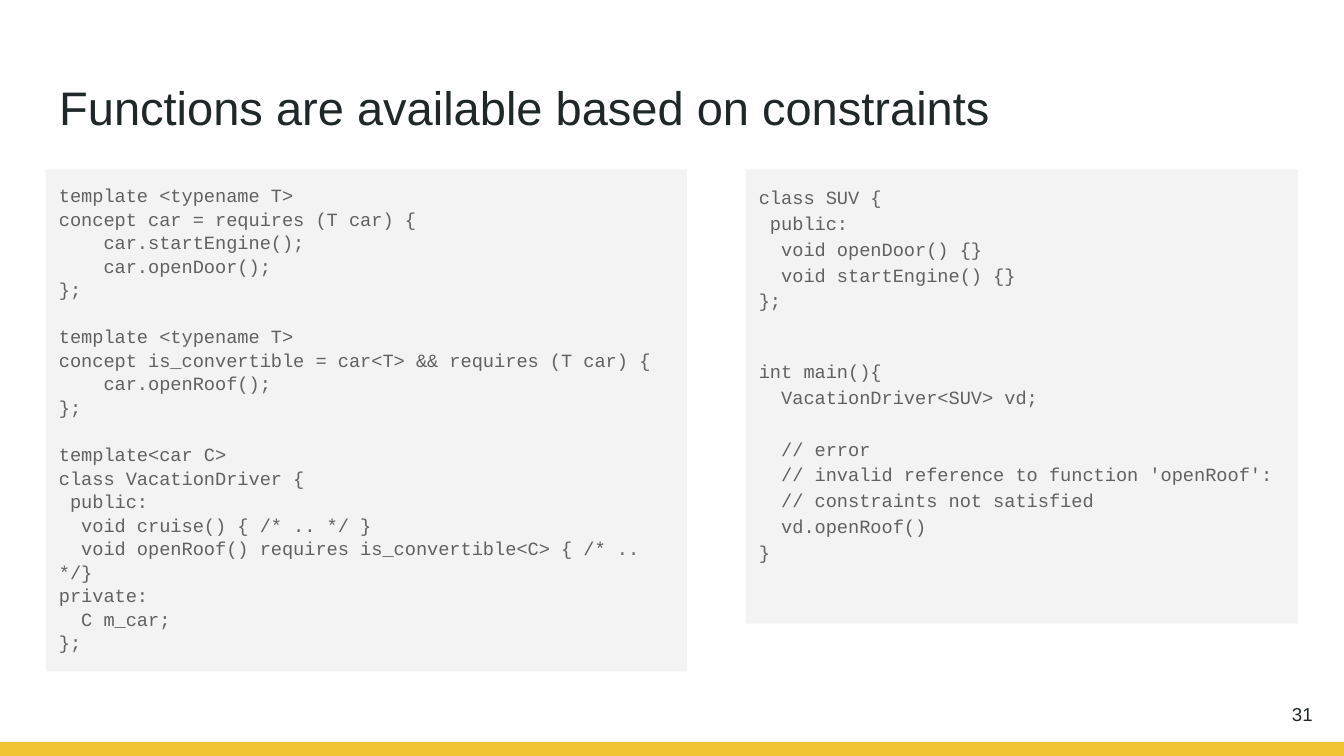
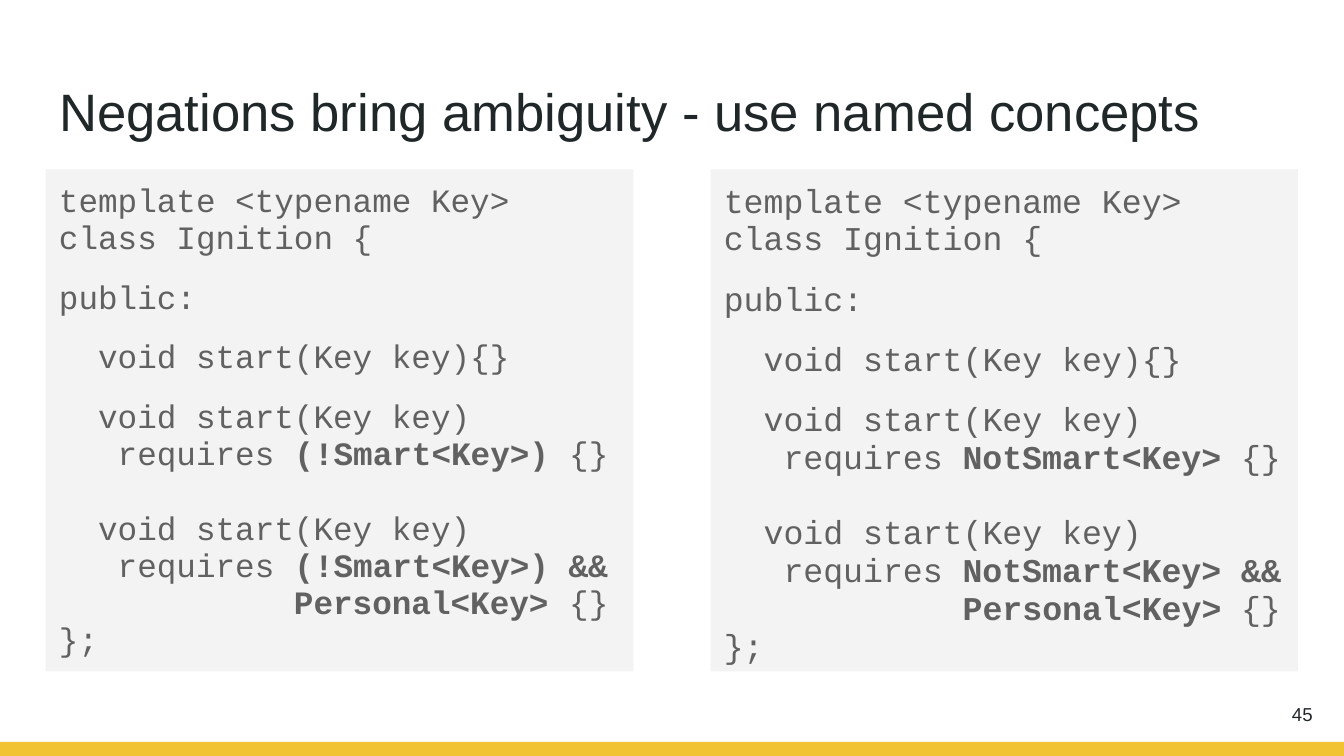
import copy
from dataclasses import dataclass

import pptx
import pptx.dml.color
import pptx.enum.shapes
import pptx.enum.text
import pptx.util

Pt = pptx.util.Pt
ALIGN = pptx.enum.text.PP_ALIGN
ANCHOR = pptx.enum.text.MSO_ANCHOR


@dataclass(frozen=True)
class Theme:
    ink: str = "202729"
    code_ink: str = "616161"
    panel: str = "F3F3F3"
    accent: str = "F1C232"
    sans: str = "Arial"
    mono: str = "Courier New"
    number_size: float = 10
    small_code: float = 10
    padding: float = 7.2
    margin: float = 24.5
    panel_top: float = 90.7


THEME = Theme()
WIDTH, HEIGHT = 720, 405
RIGHT_EDGE = WIDTH - THEME.margin

CONCEPTS = [
    (0, """template <typename T>
concept car = requires (T car) {
    car.startEngine();
    car.openDoor();
};"""),
    (12.6, """template <typename T>
concept is_convertible = car<T> && requires (T car) {
    car.openRoof();
};"""),
    (12.6, """template<car C>
class VacationDriver {
 public:
  void cruise() { /* .. */ }
  void openRoof() requires is_convertible<C> { /* .. */}
private:
  C m_car;
};"""),
]

USAGE = [
    (0, """class SUV {
 public:
  void openDoor() {}
  void startEngine() {}
};"""),
    (24.2, """int main(){
  VacationDriver<SUV> vd;"""),
    (13.8, """  // error
  // invalid reference to function 'openRoof':
  // constraints not satisfied
  vd.openRoof()
}"""),
]


def ignition_code(constraint):
    return [
        (0, "template <typename Key>\nclass Ignition {"),
        (12, "public:"),
        (12, "  void start(Key key){}"),
        (12, f"  void start(Key key)\n   requires **{constraint}** {{}}"),
        (20, f"  void start(Key key)\n   requires **{constraint} &&\n"
             "            Personal<Key>** {}\n};"),
    ]


def apply(target, formats):
    for attribute, value in formats.items():
        setattr(target, attribute, value)


def style_font(font, face, size, color, bold=False):
    apply(font, {"name": face, "size": Pt(size), "bold": bold})
    font.color.rgb = pptx.dml.color.RGBColor.from_string(color)


def prepare_frame(frame, anchor=ANCHOR.TOP):
    apply(frame, {
        "word_wrap": True,
        "auto_size": pptx.enum.text.MSO_AUTO_SIZE.NONE,
        "vertical_anchor": anchor,
        **{f"margin_{side}": Pt(THEME.padding)
           for side in ("left", "top", "right", "bottom")},
    })


def add_block(slide, left, top, width, height, color):
    block = slide.shapes.add_shape(
        pptx.enum.shapes.MSO_SHAPE.RECTANGLE,
        Pt(left), Pt(top), Pt(width), Pt(height))
    block.shadow.inherit = False
    block.fill.solid()
    block.fill.fore_color.rgb = pptx.dml.color.RGBColor.from_string(color)
    block.line.fill.background()
    return block


def add_code_line(paragraph, pieces, size):
    for text, bold in pieces:
        run = paragraph.add_run()
        run.text = text
        style_font(run.font, THEME.mono, size, THEME.code_ink, bold)


def style_breaks(paragraph):
    properties = paragraph.runs[0].font._element
    for line_break in paragraph._p.br_lst if hasattr(paragraph._p, "br_lst") \
            else paragraph._p.findall(pptx.oxml.ns.qn("a:br")):
        line_break.append(copy.deepcopy(properties))


def add_code_panel(slide, left, width, height, blocks, size, spacing):
    panel = add_block(slide, left, THEME.panel_top, width, height, THEME.panel)
    frame = panel.text_frame
    prepare_frame(frame)
    for index, (gap, code) in enumerate(blocks):
        paragraph = frame.add_paragraph() if index else frame.paragraphs[0]
        apply(paragraph, {"alignment": ALIGN.LEFT, "line_spacing": spacing,
                          "space_before": Pt(gap), "space_after": Pt(0)})
        bold = False
        for number, line in enumerate(code.split("\n")):
            if number:
                paragraph.add_line_break()
            pieces = []
            for part, text in enumerate(line.split("**")):
                bold = bold != (part > 0)
                if text:
                    pieces.append((text, bold))
            add_code_line(paragraph, pieces, size)
        style_breaks(paragraph)


def add_page(deck, heading, heading_size, number):
    slide = deck.slides.add_slide(deck.slide_layouts[5])
    add_block(slide, 0, 397.5, WIDTH, 7.5, THEME.accent)

    title = slide.shapes.title
    apply(title, {"left": Pt(THEME.margin), "top": Pt(35),
                  "width": Pt(WIDTH - 2 * THEME.margin), "height": Pt(45)})
    title.text_frame.text = heading
    prepare_frame(title.text_frame)
    paragraph = title.text_frame.paragraphs[0]
    paragraph.alignment = ALIGN.LEFT
    style_font(paragraph.runs[0].font, THEME.sans, heading_size, THEME.ink)

    page_number = slide.shapes.add_textbox(Pt(667.1), Pt(367.2), Pt(43.2), Pt(31))
    page_number.text_frame.text = str(number)
    prepare_frame(page_number.text_frame, ANCHOR.MIDDLE)
    paragraph = page_number.text_frame.paragraphs[0]
    paragraph.alignment = ALIGN.RIGHT
    style_font(paragraph.runs[0].font, THEME.sans, THEME.number_size, THEME.ink)
    return slide


def main():
    deck = pptx.Presentation()
    apply(deck, {"slide_width": Pt(WIDTH), "slide_height": Pt(HEIGHT)})

    constraints = add_page(
        deck, "Functions are available based on constraints", 25.2, 31)
    add_code_panel(constraints, THEME.margin, 343.5, 269, CONCEPTS,
                   THEME.small_code, 1.05)
    add_code_panel(constraints, RIGHT_EDGE - 296, 296, 243.4, USAGE,
                   THEME.small_code, 1.15)

    negations = add_page(
        deck, "Negations bring ambiguity - use named concepts", 28.2, 45)
    panel_width = 314.8
    for left, constraint, size in (
            (THEME.margin, "(!Smart<Key>)", 17.5),
            (RIGHT_EDGE - panel_width, "NotSmart<Key>", 17.8)):
        add_code_panel(negations, left, panel_width, 269,
                       ignition_code(constraint), size, 0.95)

    deck.save("out.pptx")


if __name__ == "__main__":
    main()
